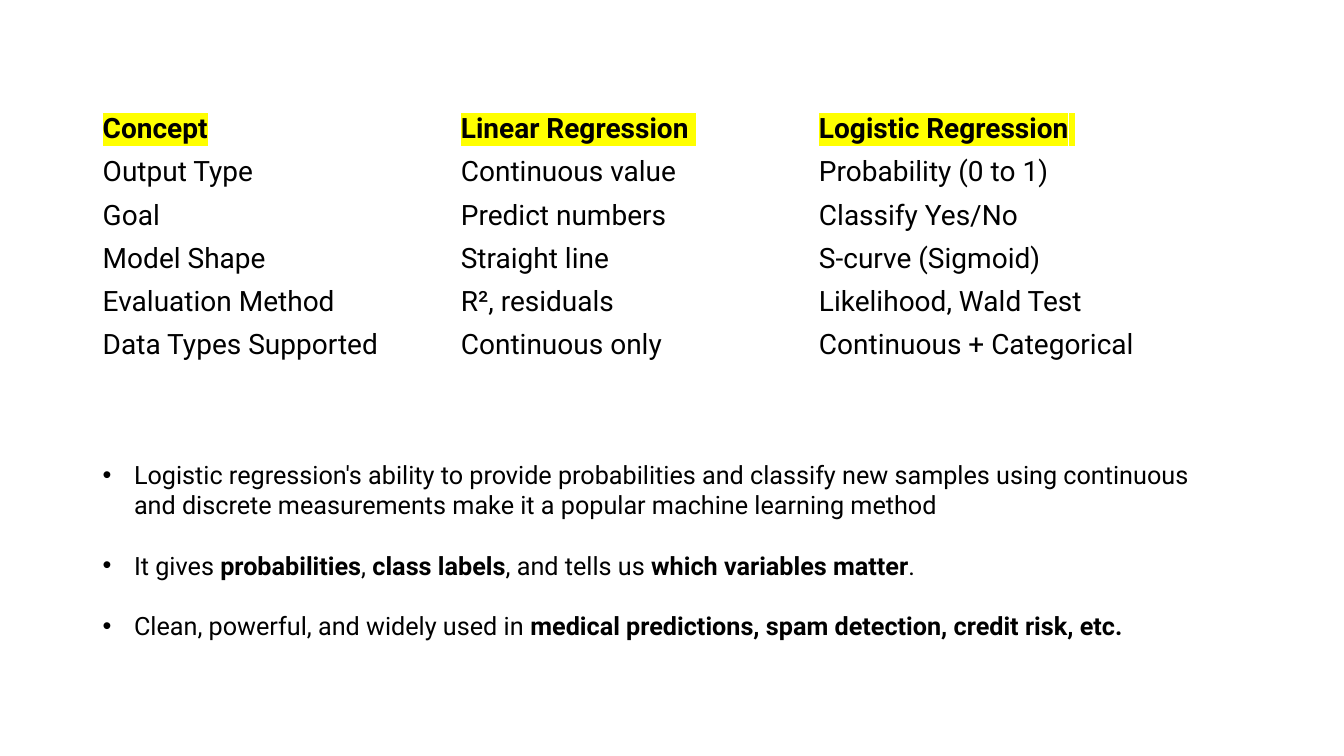
import pptx
import pptx.dml.color
import pptx.enum.text
import pptx.oxml
import pptx.oxml.ns
import pptx.util
from pptx.util import Pt

FONT = "Roboto"
BLACK = pptx.dml.color.RGBColor(0x00, 0x00, 0x00)
HIGHLIGHT = pptx.dml.color.RGBColor(0xFF, 0xFF, 0x00)

# Each entry is a list of (text, bold) runs.
HEADINGS = [
    [("Concept", True)],
    [("Linear Regression", True), (" ", False)],
    [("Logistic Regression", True), (" ", False)],
]
COMPARISON = [
    ("Output Type", "Continuous value", "Probability (0 to 1)"),
    ("Goal", "Predict numbers", "Classify Yes/No"),
    ("Model Shape", "Straight line", "S-curve (Sigmoid)"),
    ("Evaluation Method", "R², residuals", "Likelihood, Wald Test"),
    ("Data Types Supported", "Continuous only", "Continuous + Categorical"),
]
TAKEAWAYS = [
    [("Logistic regression's ability to provide probabilities and classify new "
      "samples using continuous and discrete measurements make it a popular "
      "machine learning method", False)],
    [("It gives ", False), ("probabilities", True), (", ", False),
     ("class labels", True), (", and tells us ", False),
     ("which variables matter", True), (".", False)],
    [("Clean, powerful, and widely used in ", False),
     ("medical predictions, spam detection, credit risk, etc.", True)],
]

LEFT = 66.2
TABLE_TOP, COLUMN_WIDTH, ROW_HEIGHT = 77, 255.8, 30.7
TAKEAWAYS_TOP, TAKEAWAYS_WIDTH, TAKEAWAYS_HEIGHT = 324.7, 796.3, 160
BULLET_INDENT, TAKEAWAY_GAP = 22.5, 21.5


def highlight(run):
    mark = pptx.oxml.parse_xml(
        f'<a:highlight {pptx.oxml.ns.nsdecls("a")}>'
        f'<a:srgbClr val="{HIGHLIGHT}"/></a:highlight>')
    fill = run.font.fill._xPr.find(pptx.oxml.ns.qn("a:solidFill"))
    fill.addnext(mark)


def write_runs(paragraph, runs, size, highlighted=False):
    for text, bold in runs:
        run = paragraph.add_run()
        run.text = text
        run.font.name = FONT
        run.font.size = Pt(size)
        run.font.bold = bold
        run.font.color.rgb = BLACK
        if highlighted:
            highlight(run)


def add_bullet(paragraph):
    properties = paragraph._p.get_or_add_pPr()
    properties.set("marL", str(Pt(BULLET_INDENT)))
    properties.set("indent", str(-Pt(BULLET_INDENT)))
    for bullet in ('<a:buFont {} typeface="Arial"/>', '<a:buChar {} char="•"/>'):
        properties.append(pptx.oxml.parse_xml(
            bullet.format(pptx.oxml.ns.nsdecls("a"))))


def add_comparison(slide):
    rows = [HEADINGS] + [[[(text, False)] for text in row] for row in COMPARISON]
    columns = len(HEADINGS)
    table = slide.shapes.add_table(
        len(rows), columns, Pt(LEFT), Pt(TABLE_TOP),
        Pt(COLUMN_WIDTH * columns), Pt(ROW_HEIGHT * len(rows))).table
    table.first_row = False
    table.horz_banding = False
    for r, row in enumerate(rows):
        for c, runs in enumerate(row):
            cell = table.cell(r, c)
            cell.fill.background()
            cell.vertical_anchor = pptx.enum.text.MSO_ANCHOR.MIDDLE
            write_runs(cell.text_frame.paragraphs[0], runs, 20, highlighted=r == 0)


def add_takeaways(slide):
    frame = slide.shapes.add_textbox(
        Pt(LEFT), Pt(TAKEAWAYS_TOP),
        Pt(TAKEAWAYS_WIDTH), Pt(TAKEAWAYS_HEIGHT)).text_frame
    frame.word_wrap = True
    for i, runs in enumerate(TAKEAWAYS):
        paragraph = frame.add_paragraph() if i else frame.paragraphs[0]
        add_bullet(paragraph)
        if i:
            paragraph.space_before = Pt(TAKEAWAY_GAP)
        write_runs(paragraph, runs, 18)


def main():
    deck = pptx.Presentation()
    deck.slide_width, deck.slide_height = Pt(960), Pt(540)
    slide = deck.slides.add_slide(deck.slide_layouts[6])
    add_comparison(slide)
    add_takeaways(slide)
    deck.save("out.pptx")


if __name__ == "__main__":
    main()
